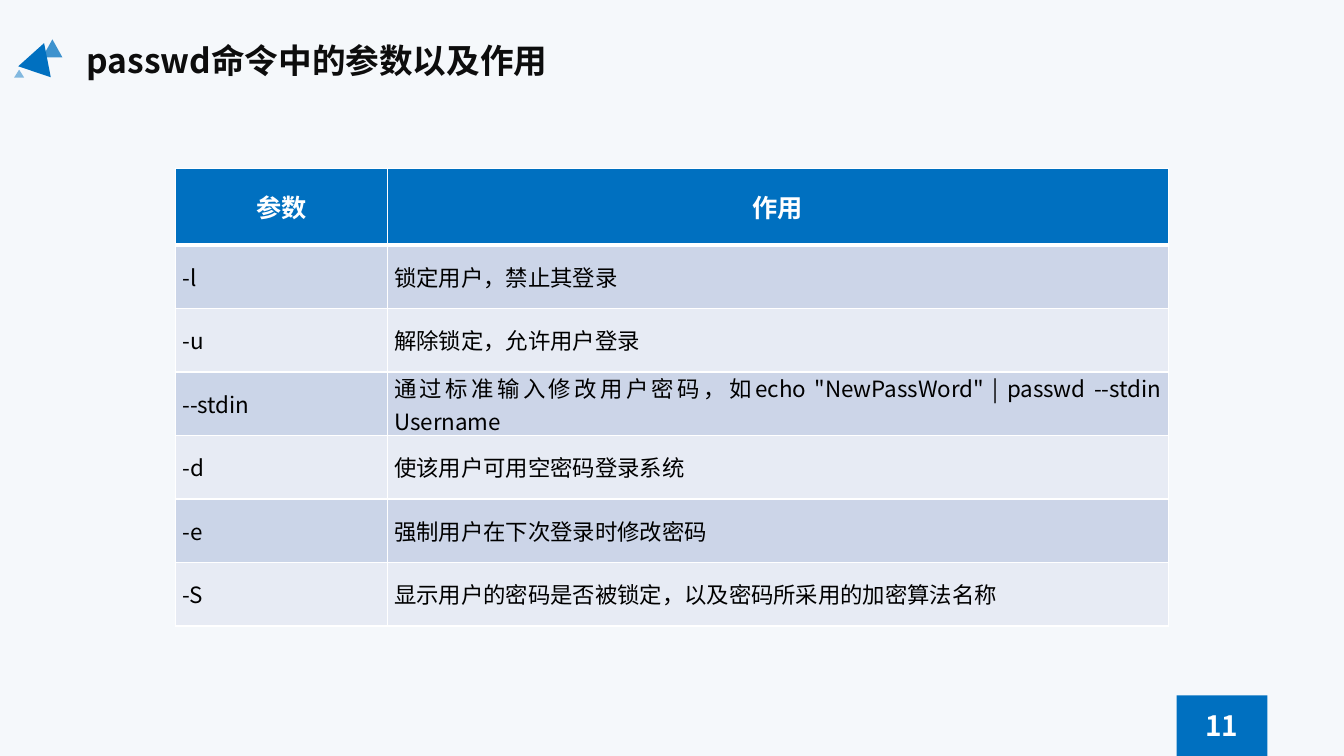
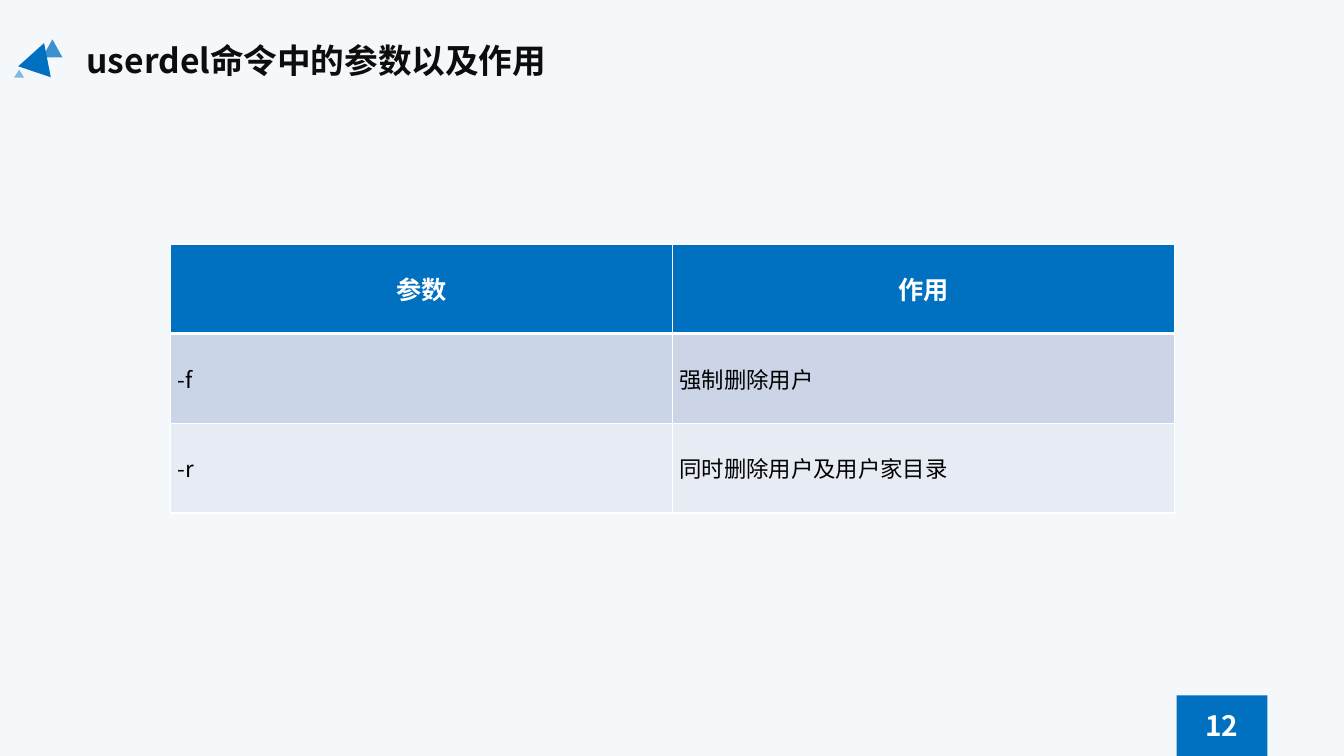
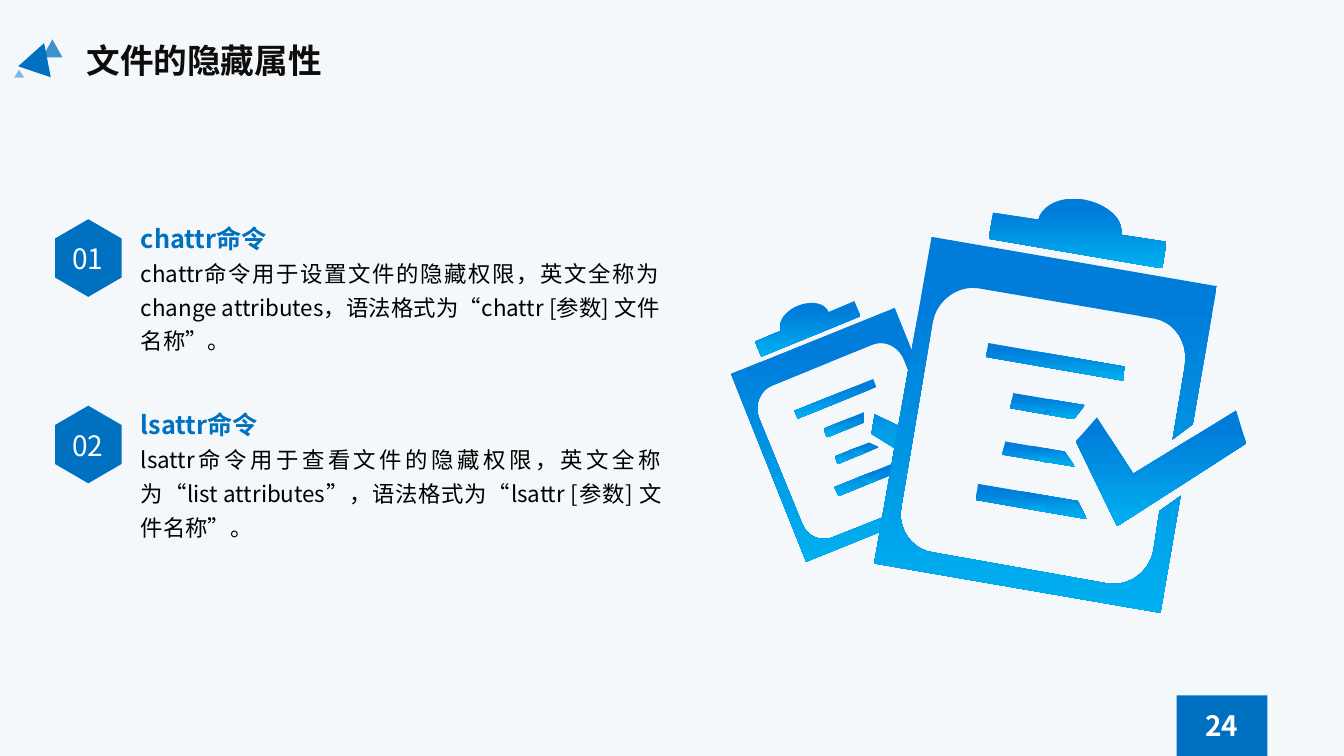
from math import cos, radians, sin

from lxml import etree
from pptx import Presentation
from pptx.dml.color import RGBColor
from pptx.enum.shapes import MSO_SHAPE
from pptx.enum.text import MSO_ANCHOR, PP_ALIGN
from pptx.oxml.ns import qn
from pptx.util import Inches, Pt

RECT, TRIANGLE, HEXAGON = MSO_SHAPE.RECTANGLE, MSO_SHAPE.ISOSCELES_TRIANGLE, MSO_SHAPE.HEXAGON
LEFT, CENTER, JUSTIFY = PP_ALIGN.LEFT, PP_ALIGN.CENTER, PP_ALIGN.JUSTIFY
MIDDLE = MSO_ANCHOR.MIDDLE

# Shared style
FONT = "Noto Sans CJK SC"
BLUE, WHITE, BLACK, TITLE_INK, PAPER = "0070C0", "FFFFFF", "000000", "0D0D0D", "F5F8FB"
GRADIENT = [(0.18, "007DDA"), (1, "00B0F0")]
BANDS = [("CBD5E8", "CCD5E8"), ("E7EBF4", "E7EBF4")]
LOGO = [  # left, top, width, height, rotation, opacity in percent
    (0.42, 0.39, 0.2, 0.18, 0, 75),
    (0.22, 0.42, 0.34, 0.3, 18.5, 100),
    (0.14, 0.69, 0.1, 0.08, 0, 47),
]

# Content
HEADER = ("参数", "作用")
TABLE_SLIDES = [
    dict(title="passwd命令中的参数以及作用", number=11, at=(1.74, 1.67),
         columns=(2.1, 7.75), header_height=0.76, row_height=0.63,
         rows=[("-l", "锁定用户，禁止其登录"),
               ("-u", "解除锁定，允许用户登录"),
               ("--stdin", '通过标准输入修改用户密码，如echo "NewPassWord" | passwd --stdin Username'),
               ("-d", "使该用户可用空密码登录系统"),
               ("-e", "强制用户在下次登录时修改密码"),
               ("-S", "显示用户的密码是否被锁定，以及密码所采用的加密算法名称")]),
    dict(title="userdel命令中的参数以及作用", number=12, at=(1.69, 2.42),
         columns=(4.98, 4.98), header_height=0.89, row_height=0.89,
         rows=[("-f", "强制删除用户"),
               ("-r", "同时删除用户及用户家目录")]),
]
ATTRIBUTES = dict(title="文件的隐藏属性", number=24)
COMMANDS = [
    ("chattr命令", "chattr命令用于设置文件的隐藏权限，英文全称为change attributes，"
                 "语法格式为“chattr [参数] 文件名称”。", 5.34),
    ("lsattr命令", "lsattr命令用于查看文件的隐藏权限，英文全称为“list attributes”，"
                 "语法格式为“lsattr [参数] 文件名称”。", 5.36),
]

# Clipboard drawing: pairs are corners, six numbers are a Bezier curve
BOARD_TILT = 9.8
BOARD_CORNER = (9.24, 2.35)
TOP_LINE = (9.78, 3.52, 1.38, 0.14)
CLIP = [(9.81, 2.37), (11.51, 2.66), (11.53, 2.65), (11.57, 2.4), (11.12, 2.33),
        (11.15, 2.17, 10.98, 2.02, 10.75, 1.98), (10.54, 1.94, 10.33, 2.03, 10.3, 2.18),
        (9.85, 2.11), (9.81, 2.35)]
FRAME = [(11.5, 5.07), (11.44, 5.46), (11.4, 5.67, 11.21, 5.82, 10.99, 5.79),
         (9.25, 5.48), (9.04, 5.45, 8.9, 5.24, 8.94, 5.03),
         (9.25, 3.2), (9.29, 2.98, 9.5, 2.83, 9.7, 2.86),
         (11.45, 3.16), (11.66, 3.2, 11.79, 3.41, 11.75, 3.64),
         (11.63, 4.36), (11.83, 4.21), (12.07, 2.84), BOARD_CORNER,
         (8.67, 5.59), (11.51, 6.08), (11.71, 4.92)]
LINES = [
    [(10.05, 3.9), (10.02, 4.05), (10.65, 4.16), (10.76, 4.02)],
    [(10.39, 4.06), (10.35, 4.11), (10.43, 4.12)],
    [(9.97, 4.38), (9.94, 4.51), (10.66, 4.63), (10.56, 4.48)],
    [(10.42, 4.59), (10.44, 4.46), (10.22, 4.42), (10.32, 4.58)],
    [(9.7, 4.8), (9.68, 4.96), (10.78, 5.15), (10.69, 4.97)],
    [(10.4, 4.92), (10.11, 4.87), (10.2, 5.05), (10.37, 5.08)],
]
CHECK = [(10.67, 4.38), (11.08, 5.22), (12.36, 4.4), (12.26, 4.07), (11.24, 4.7), (10.88, 4.14)]


def rgb(color):
    return RGBColor.from_string(color)


def put_text(frame, text, size=16, color=BLACK, bold=False, align=LEFT, spacing=None):
    """Write text as the next paragraph of a text frame."""
    frame.word_wrap = True
    first = frame.paragraphs[0]
    paragraph = frame.add_paragraph() if first.runs else first
    paragraph.alignment = align
    paragraph.line_spacing = spacing
    run = paragraph.add_run()
    run.text = text
    font = run.font
    font.size, font.bold, font.name = Pt(size), bold, FONT
    font.color.rgb = rgb(color)
    etree.SubElement(run._r.get_or_add_rPr(), qn("a:ea"), typeface=FONT)


def text_box(shapes, box):
    return shapes.add_textbox(*map(Inches, box)).text_frame


def paint(shape, color=None, opacity=100):
    """Fill with one colour, or with the shared vertical gradient."""
    shape.shadow.inherit = False
    shape.line.fill.background()
    if color:
        shape.fill.solid()
        shape.fill.fore_color.rgb = rgb(color)
        if opacity < 100:
            tint = shape._element.spPr.find(".//" + qn("a:srgbClr"))
            etree.SubElement(tint, qn("a:alpha"), val=str(opacity * 1000))
        return
    shape.fill.gradient()
    shape.fill.gradient_angle = 270
    for stop, (position, stop_color) in zip(shape.fill.gradient_stops, GRADIENT):
        stop.position, stop.color.rgb = position, rgb(stop_color)
    shape._element.spPr.find(qn("a:gradFill")).set("rotWithShape", "0")


def preset(shapes, kind, box, color=None, rotation=0, opacity=100):
    shape = shapes.add_shape(kind, *map(Inches, box))
    shape.rotation = rotation
    paint(shape, color, opacity)
    return shape


def flatten(outline, steps=10):
    """Turn corners and curves into a plain list of points."""
    points = []
    for part in outline:
        if len(part) == 2:
            points.append(part)
            continue
        controls = [points[-1], part[:2], part[2:4], part[4:]]
        for step in range(1, steps + 1):
            t = step / steps
            weights = ((1 - t) ** 3, 3 * t * (1 - t) ** 2, 3 * t * t * (1 - t), t ** 3)
            points.append(tuple(sum(w * c[axis] for w, c in zip(weights, controls))
                                for axis in (0, 1)))
    return points


def draw_clipboard(slide, corner=BOARD_CORNER, scale=1, turn=0):
    """Draw the clipboard with its top left corner moved, scaled and turned."""
    shapes = slide.shapes.add_group_shape().shapes
    c, s = scale * cos(radians(turn)), scale * sin(radians(turn))

    def place(point):
        x, y = point[0] - BOARD_CORNER[0], point[1] - BOARD_CORNER[1]
        return corner[0] + x * c - y * s, corner[1] + x * s + y * c

    left, top, width, height = TOP_LINE
    x, y = place((left + width / 2, top + height / 2))
    width, height = width * scale, height * scale
    preset(shapes, RECT, (x - width / 2, y - height / 2, width, height),
           rotation=BOARD_TILT + turn)
    for outline in [CLIP, FRAME, *LINES, CHECK]:
        points = [tuple(map(Inches, place(point))) for point in flatten(outline)]
        builder = shapes.build_freeform(*points[0])
        builder.add_line_segments(points[1:], close=True)
        paint(builder.convert_to_shape())


def new_slide(deck, title, number):
    """Add a slide with background, logo, title and page number."""
    slide = deck.slides.add_slide(deck.slide_layouts[6])
    slide.background.fill.solid()
    slide.background.fill.fore_color.rgb = rgb(PAPER)
    put_text(text_box(slide.shapes, (0.76, 0.35, 6.72, 0.5)), title,
             size=24, color=TITLE_INK, bold=True)
    logo = slide.shapes.add_group_shape().shapes
    for *box, rotation, opacity in LOGO:
        preset(logo, TRIANGLE, box, BLUE, rotation, opacity)
    badge = slide.shapes.add_group_shape().shapes
    preset(badge, RECT, (11.67, 6.9, 0.9, 0.6), BLUE)
    put_text(text_box(badge, (11.8, 6.98, 0.64, 0.44)), str(number),
             size=20, color=WHITE, bold=True, align=CENTER)
    return slide


def style_cell(cell, fill, top=1, bottom=1):
    cell.vertical_anchor = MIDDLE
    cell.margin_left = cell.margin_right = Inches(0.07)
    cell.margin_top = cell.margin_bottom = 0
    for side, width in (("L", 1), ("R", 1), ("T", top), ("B", bottom)):
        line = etree.SubElement(cell._tc.get_or_add_tcPr(), qn("a:ln" + side), w=str(Pt(width)))
        etree.SubElement(etree.SubElement(line, qn("a:solidFill")), qn("a:srgbClr"), val=WHITE)
    cell.fill.solid()
    cell.fill.fore_color.rgb = rgb(fill)


def add_parameter_table(slide, at, columns, header_height, row_height, rows):
    heights = [header_height] + [row_height] * len(rows)
    box = (*at, sum(columns), sum(heights))
    table = slide.shapes.add_table(len(heights), len(columns), *map(Inches, box)).table
    table.horz_banding = False
    for column, width in zip(table.columns, columns):
        column.width = Inches(width)
    for r, (height, texts) in enumerate(zip(heights, [HEADER, *rows])):
        table.rows[r].height = Inches(height)
        for c, text in enumerate(texts):
            cell = table.cell(r, c)
            if r == 0:
                style_cell(cell, BLUE, bottom=3)
                put_text(cell.text_frame, text, size=18, color=WHITE, bold=True, align=CENTER)
            else:
                style_cell(cell, BANDS[(r - 1) % 2][c], top=3 if r == 1 else 1)
                put_text(cell.text_frame, text, align=JUSTIFY)


def add_command(slide, index, heading, body, width):
    """Add a numbered hexagon with its heading and explanation."""
    top = 2.09 + 1.85 * index
    marker = slide.shapes.add_group_shape().shapes
    hexagon = preset(marker, HEXAGON, (0.49, top + 0.14, 0.77, 0.66), BLUE, rotation=90)
    hexagon.adjustments[0] = 0.29
    put_text(text_box(marker, (0.56, top + 0.26, 0.62, 0.44)), f"{index + 1:02}",
             size=20, color=WHITE, align=CENTER)
    frame = text_box(slide.shapes, (1.3, top, width, 1.46))
    put_text(frame, heading, size=18, color=BLUE, bold=True, align=JUSTIFY, spacing=1.25)
    put_text(frame, body, align=JUSTIFY, spacing=1.25)


def main():
    deck = Presentation()
    deck.slide_width, deck.slide_height = Inches(13.33), Inches(7.5)

    # Parameter tables
    for content in TABLE_SLIDES:
        layout = dict(content)
        slide = new_slide(deck, layout.pop("title"), layout.pop("number"))
        add_parameter_table(slide, **layout)

    # Hidden attributes: small clipboard behind the large one, then the commands
    slide = new_slide(deck, **ATTRIBUTES)
    draw_clipboard(slide, corner=(7.25, 3.71), scale=0.61, turn=-31.8)
    preset(slide.shapes, RECT, (8.85, 3.67, 3.26, 2.32), PAPER, rotation=11)
    draw_clipboard(slide)
    for index, command in enumerate(COMMANDS):
        add_command(slide, index, *command)

    deck.save("out.pptx")


if __name__ == "__main__":
    main()
